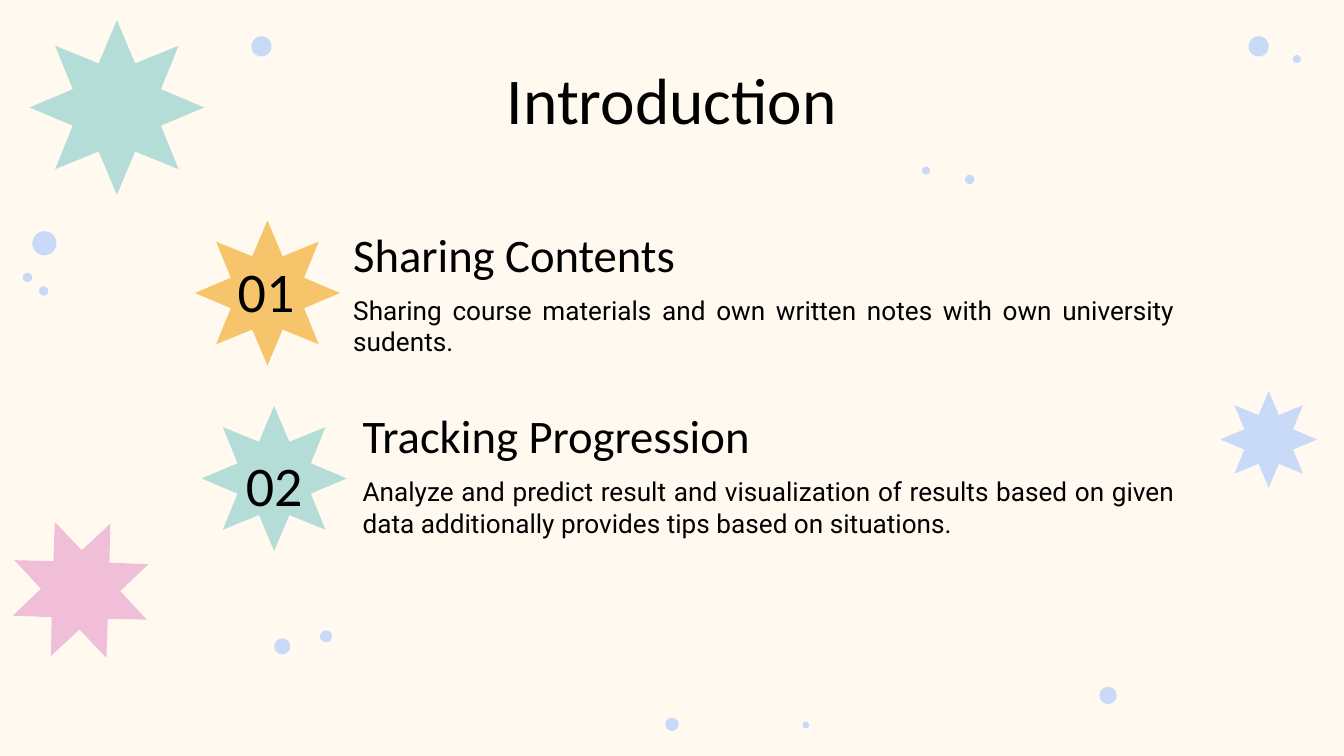
import pptx
import pptx.util
import pptx.dml.color
import pptx.enum.shapes
import pptx.enum.text

RGB = pptx.dml.color.RGBColor
SHAPE = pptx.enum.shapes.MSO_SHAPE
ALIGN = pptx.enum.text.PP_ALIGN

CREAM = RGB(0xFF, 0xF9, 0xF0)
BLACK = RGB(0x00, 0x00, 0x00)
MINT = RGB(0xB4, 0xDD, 0xD8)
AMBER = RGB(0xF6, 0xC4, 0x6B)
PINK = RGB(0xF0, 0xBE, 0xD6)
SKY = RGB(0xC9, 0xDA, 0xF8)

HEADING_FONT = "Calibri"
BODY_FONT = "Roboto"
COLUMNS, ROWS = 100, 56.25


class Deck:
    """Draws styled elements on a slide divided into 100 columns and 56.25 rows."""

    def __init__(self):
        self.prs = pptx.Presentation()
        self.prs.slide_width = pptx.util.Inches(10)
        self.prs.slide_height = pptx.util.Inches(5.625)
        self.slide = self.prs.slides.add_slide(self.prs.slide_layouts[5])
        self.slide.background.fill.solid()
        self.slide.background.fill.fore_color.rgb = CREAM

    def box(self, left, top, width, height):
        column = self.prs.slide_width / COLUMNS
        row = self.prs.slide_height / ROWS
        return [round(n) for n in (left * column, top * row, width * column, height * row)]

    def decoration(self, kind, left, top, size, color):
        figure = self.slide.shapes.add_shape(kind, *self.box(left, top, size, size))
        figure.shadow.inherit = False
        figure.fill.solid()
        figure.fill.fore_color.rgb = color
        figure.line.fill.background()
        return figure

    def dot(self, left, top, size):
        self.decoration(SHAPE.OVAL, left, top, size, SKY)

    def star(self, left, top, size, color, rotation=0):
        burst = self.decoration(SHAPE.STAR_8_POINT, left, top, size, color)
        burst.adjustments[0] = 0.273
        burst.rotation = rotation

    def typeset(self, holder, words, size, font, align):
        frame = holder.text_frame
        frame.word_wrap = True
        frame.auto_size = pptx.enum.text.MSO_AUTO_SIZE.NONE
        frame.vertical_anchor = pptx.enum.text.MSO_ANCHOR.TOP
        frame.margin_left = frame.margin_right = pptx.util.Inches(0.1)
        frame.margin_top = frame.margin_bottom = pptx.util.Inches(0.1)
        paragraph = frame.paragraphs[0]
        paragraph.alignment = align
        run = paragraph.add_run()
        run.text = words
        run.font.size = pptx.util.Pt(size)
        run.font.name = font
        run.font.color.rgb = BLACK

    def title(self, words, *place):
        heading = self.slide.shapes.title
        heading.left, heading.top, heading.width, heading.height = self.box(*place)
        self.typeset(heading, words, 35, HEADING_FONT, ALIGN.CENTER)

    def text(self, words, place, size, font=HEADING_FONT, align=ALIGN.LEFT):
        holder = self.slide.shapes.add_textbox(*self.box(*place))
        self.typeset(holder, words, size, font, align)


deck = Deck()
deck.title("Introduction", 8.7, 3.4, 82.6, 6.2)

deck.star(0.6, 38.5, 10.8, PINK, 339.2)
for left, top, size in [
    (2.4, 17.2, 1.8), (2.9, 21.3, 0.7), (1.7, 20.3, 0.7),
    (71.8, 13, 0.7), (68.6, 12.4, 0.6), (18.7, 2.7, 1.5),
    (20.4, 47.5, 1.2), (23.8, 46.9, 0.9), (81.8, 51.1, 1.3),
    (59.7, 53.7, 0.5), (49.5, 53.4, 1), (92.9, 2.7, 1.5), (96.2, 4.1, 0.6),
]:
    deck.dot(left, top, size)
deck.star(2.2, 1.5, 13, MINT)
deck.star(90.8, 29.1, 7.2, SKY)

TEXT_RIGHT = 88.4
topics = [
    ("01", AMBER, (14.5, 16.4), (15.1, 18.1), 25.3, 15.8, "Sharing Contents",
     "Sharing course materials and own written notes with own university sudents."),
    ("02", MINT, (15, 30.2), (15.7, 32.5), 26, 29.3, "Tracking Progression",
     "Analyze and predict result and visualization of results based on given "
     "data additionally provides tips based on situations."),
]
for number, color, badge, number_at, left, top, heading, detail in topics:
    deck.star(*badge, 10.8, color)
    deck.text(number, (*number_at, 9.4, 8.9), 30, align=ALIGN.CENTER)
    deck.text(heading, (left, top, 31.7, 5.1), 25)
    deck.text(detail, (left, top + 5.1, TEXT_RIGHT - left, 7), 14,
              BODY_FONT, ALIGN.JUSTIFY)

deck.prs.save("out.pptx")
